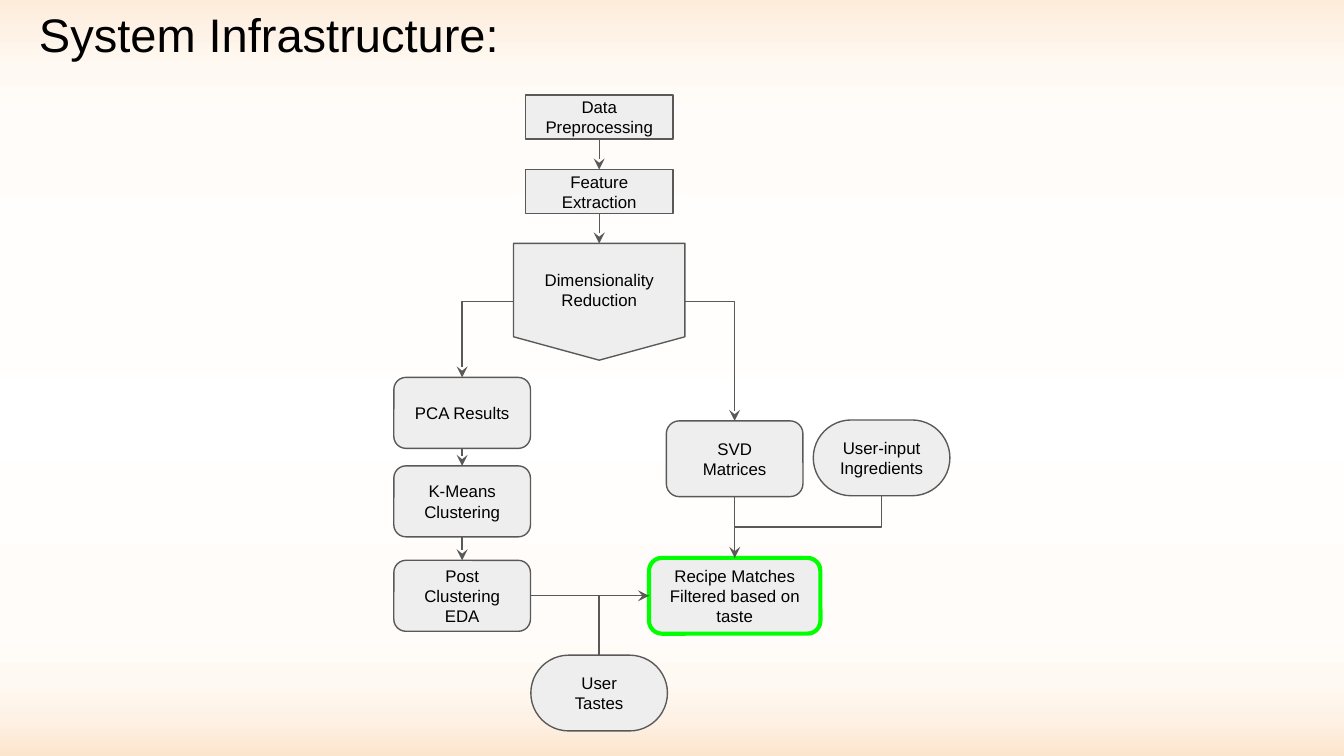
from lxml.etree import SubElement
from pptx import Presentation
from pptx.dml.color import RGBColor
from pptx.enum.shapes import MSO_CONNECTOR, MSO_SHAPE
from pptx.enum.text import MSO_ANCHOR, PP_ALIGN
from pptx.oxml.ns import qn
from pptx.util import Pt

COLORS = {"text": "000000", "fill": "EEEEEE", "line": "595959", "result": "00FF00"}
BACKGROUND_STOPS = [
    (0, "FDECDA"), (4, "FEF2E6"), (9, "FFF9F3"), (16, "FFFCF9"), (36, "FFFEFC"),
    (50, "FFFFFF"), (83, "FFFCF9"), (90, "FFF9F3"), (95, "FEF2E6"), (100, "FCE5CD"),
]
TOP, LEFT, BOTTOM, RIGHT = range(4)


def format_text(shape, text, size, alignment, anchor):
    text_frame = shape.text_frame
    text_frame.text = text
    text_frame.word_wrap = True
    text_frame.vertical_anchor = anchor
    text_frame.margin_left = text_frame.margin_right = Pt(7.2)
    text_frame.margin_top = text_frame.margin_bottom = Pt(7.2)
    paragraph = text_frame.paragraphs[0]
    paragraph.alignment = alignment
    font = paragraph.runs[0].font
    font.name = "Arial"
    font.size = Pt(size)
    font.color.rgb = RGBColor.from_string(COLORS["text"])


def style_connector(connector, arrow):
    connector.line.color.rgb = RGBColor.from_string(COLORS["line"])
    connector.line.width = Pt(0.75)
    properties = connector._element.spPr
    SubElement(properties, qn("a:effectLst"))
    if arrow:
        SubElement(properties.find(qn("a:ln")), qn("a:tailEnd"), type="stealth")


presentation = Presentation()
presentation.slide_width = Pt(720)
presentation.slide_height = Pt(405)
slide = presentation.slides.add_slide(presentation.slide_layouts[5])

background = slide.background.fill
background.gradient()
background.gradient_angle = 270
stop_list = slide._element.find(".//" + qn("a:gsLst"))
for stop in list(stop_list):
    stop_list.remove(stop)
for position, color in BACKGROUND_STOPS:
    stop = SubElement(stop_list, qn("a:gs"), pos=str(position * 1000))
    SubElement(stop, qn("a:srgbClr"), val=color)

title = slide.shapes.title
title.left, title.top, title.width, title.height = Pt(13.7), Pt(-4.3), Pt(304.6), Pt(45.4)
format_text(title, "System Infrastructure:", 25.2, PP_ALIGN.LEFT, MSO_ANCHOR.TOP)

pca_column, main_column, svd_column, input_column = 247.6, 321, 393.6, 472.3
step_size, branch_size, input_size = (79, 23.6), (73.2, 38), (73.2, 40.6)
rectangle, rounded = MSO_SHAPE.RECTANGLE, MSO_SHAPE.ROUNDED_RECTANGLE
nodes = [
    ("preprocessing", "Data Preprocessing", rectangle, main_column, 50.9, step_size, None),
    ("features", "Feature Extraction", rectangle, main_column, 90.8, step_size, None),
    ("reduction", "Dimensionality Reduction", MSO_SHAPE.FLOWCHART_OFFPAGE_CONNECTOR,
     main_column, 130.4, (91.8, 62.6), None),
    ("pca", "PCA Results", rounded, pca_column, 202.2, branch_size, 0.17),
    ("clustering", "K-Means Clustering", rounded, pca_column, 249.6, branch_size, 0.17),
    ("eda", "Post Clustering EDA", rounded, pca_column, 300.2, branch_size, 0.17),
    ("svd", "SVD Matrices", rounded, svd_column, 225.5, input_size, 0.17),
    ("matches", "Recipe Matches Filtered based on taste", rounded,
     svd_column, 298.9, (91.8, 40.6), 0.17),
    ("ingredients", "User-input Ingredients", rounded, input_column, 225, input_size, 0.5),
    ("tastes", "User Tastes", rounded, main_column, 351, input_size, 0.5),
]
shapes = {}
for name, text, kind, center, top, (width, height), rounding in nodes:
    shape = slide.shapes.add_shape(
        kind, Pt(center - width / 2), Pt(top), Pt(width), Pt(height))
    if rounding is not None:
        shape.adjustments[0] = rounding
    shape.shadow.inherit = False
    shape.fill.solid()
    shape.fill.fore_color.rgb = RGBColor.from_string(COLORS["fill"])
    is_result = name == "matches"
    shape.line.color.rgb = RGBColor.from_string(COLORS["result" if is_result else "line"])
    shape.line.width = Pt(2.25 if is_result else 0.75)
    format_text(shape, text, 9, PP_ALIGN.CENTER, MSO_ANCHOR.MIDDLE)
    shapes[name] = shape

straight, elbow = MSO_CONNECTOR.STRAIGHT, MSO_CONNECTOR.ELBOW
links = [
    (straight, "preprocessing", BOTTOM, "features", TOP, True),
    (straight, "features", BOTTOM, "reduction", TOP, True),
    (elbow, "reduction", LEFT, "pca", TOP, True),
    (elbow, "reduction", RIGHT, "svd", TOP, True),
    (straight, "pca", BOTTOM, "clustering", TOP, True),
    (straight, "clustering", BOTTOM, "eda", TOP, True),
    (straight, "svd", BOTTOM, "matches", TOP, True),
    (straight, "eda", RIGHT, "matches", LEFT, True),
    (elbow, "matches", LEFT, "tastes", TOP, False),
]
for kind, start, start_side, end, end_side, arrow in links:
    connector = slide.shapes.add_connector(kind, 0, 0, 0, 0)
    connector.begin_connect(shapes[start], start_side)
    connector.end_connect(shapes[end], end_side)
    if kind == elbow:
        connector._element.spPr.find(qn("a:prstGeom")).set("prst", "bentConnector2")
    style_connector(connector, arrow)

ingredients, matches = shapes["ingredients"], shapes["matches"]
start_y = ingredients.top + ingredients.height
drop = matches.top - start_y
span = Pt(input_column - svd_column)
left = Pt((input_column + svd_column) / 2) - drop // 2
top = start_y + drop // 2 - span // 2
ingredient_link = slide.shapes.add_connector(elbow, left, top, left + drop, top + span)
ingredient_link._element.spPr.find(qn("a:xfrm")).set("rot", "5400000")
style_connector(ingredient_link, False)

presentation.save("out.pptx")
